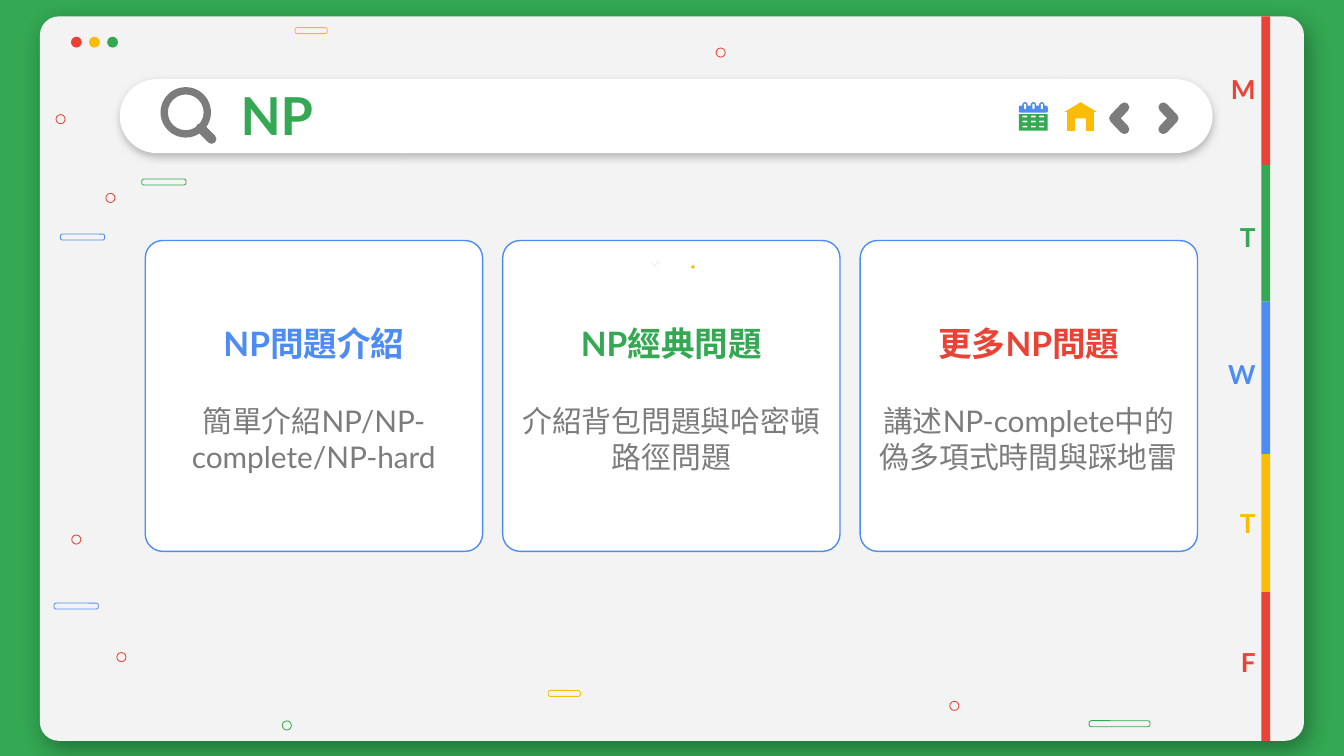
from lxml import etree
from pptx import Presentation
from pptx.dml.color import RGBColor
from pptx.enum.shapes import MSO_SHAPE
from pptx.enum.text import MSO_ANCHOR, MSO_AUTO_SIZE, PP_ALIGN
from pptx.oxml import parse_xml
from pptx.oxml.ns import nsdecls, qn
from pptx.util import Pt

RECTANGLE = MSO_SHAPE.RECTANGLE
ROUNDED = MSO_SHAPE.ROUNDED_RECTANGLE
OVAL = MSO_SHAPE.OVAL
DONUT = MSO_SHAPE.DONUT
LEFT, CENTER, RIGHT = PP_ALIGN.LEFT, PP_ALIGN.CENTER, PP_ALIGN.RIGHT
COLORS = {
    "green": "34A853", "red": "EA4335", "yellow": "FBBC05", "blue": "4D8CF5",
    "panel": "F3F3F3", "white": "FFFFFF", "gray": "7C7C7C", "black": "000000",
}

presentation = Presentation()
presentation.slide_width = Pt(720)
presentation.slide_height = Pt(405)
slide = presentation.slides.add_slide(presentation.slide_layouts[5])
slide.background.fill.solid()
slide.background.fill.fore_color.rgb = RGBColor.from_string(COLORS["green"])


def paint(shape, fill=None, line=None, width=0.75, adjust=None):
    shape.shadow.inherit = False
    if fill:
        shape.fill.solid()
        shape.fill.fore_color.rgb = RGBColor.from_string(COLORS[fill])
    else:
        shape.fill.background()
    if line:
        shape.line.color.rgb = RGBColor.from_string(COLORS[line])
        shape.line.width = Pt(width)
    else:
        shape.line.fill.background()
    if adjust is not None:
        shape.adjustments[0] = adjust
    return shape


def write(shape, box, text, size, color, bold=False, align=CENTER):
    shape.left, shape.top, shape.width, shape.height = (Pt(value) for value in box)
    frame = shape.text_frame
    frame.word_wrap = True
    frame.auto_size = MSO_AUTO_SIZE.NONE
    frame.vertical_anchor = MSO_ANCHOR.MIDDLE
    frame.margin_left = frame.margin_right = Pt(7.2)
    frame.margin_top = frame.margin_bottom = Pt(7.2)
    paragraph = frame.paragraphs[0]
    paragraph.alignment = align
    run = paragraph.add_run()
    run.text = text
    run.font.name = "Lato"
    run.font.size = Pt(size)
    run.font.bold = bold
    run.font.color.rgb = RGBColor.from_string(COLORS[color])


shapes = slide.shapes

surfaces = [
    ((21.4, 8.8, 677.2, 388.1), "panel", 0.026, ("black", 32, 12.4, 5.2, 57)),
    ((64.2, 42.4, 585.4, 39.6), "white", 0.5, ("gray", 50, 4.5, 1.5, 90)),
]
for box, fill, adjust, (color, alpha, blur, distance, angle) in surfaces:
    surface = paint(shapes.add_shape(ROUNDED, *map(Pt, box)), fill, adjust=adjust)
    effects = surface.element.spPr.find(qn("a:effectLst"))
    effects.append(parse_xml(
        f'<a:outerShdw {nsdecls("a")} blurRad="{Pt(blur)}" dist="{Pt(distance)}" '
        f'dir="{angle * 60000}" algn="bl" rotWithShape="0">'
        f'<a:srgbClr val="{COLORS[color]}"><a:alpha val="{alpha * 1000}"/></a:srgbClr>'
        '</a:outerShdw>'))

for index, color in enumerate(["red", "yellow", "green"]):
    paint(shapes.add_shape(OVAL, Pt(38 + 9.7 * index), Pt(19.7), Pt(5.8), Pt(5.8)), color)

pills = [
    (293.7, 369.9, 17.2, "yellow"), (583.5, 386.1, 32.6, "green"),
    (32.4, 125.4, 23.7, "blue"), (29, 323.1, 23.7, "blue"),
    (76, 95.9, 23.7, "green"), (158.1, 14.8, 17.2, "yellow"),
]
for left, top, width, color in pills:
    paint(shapes.add_shape(ROUNDED, Pt(left), Pt(top), Pt(width), Pt(3.2)),
          line=color, width=0.44, adjust=0.35)

circles = [
    (38.4, 286.6, "red"), (56.7, 103.6, "red"), (30, 61.4, "red"),
    (62.6, 349.6, "red"), (151.2, 386.2, "green"), (508.8, 375.7, "red"),
    (383.6, 25.7, "red"),
]
for left, top, color in circles:
    paint(shapes.add_shape(OVAL, Pt(left), Pt(top), Pt(4.9), Pt(4.9)), line=color, width=0.44)

title = shapes.title
title.element.getparent().append(title.element)
write(title, (121.7, 42.5, 462.2, 37.4), "NP", 28, "green", True, LEFT)

cards = [
    ("NP問題介紹", "簡單介紹NP/NP-complete/NP-hard", "blue"),
    ("NP經典問題", "介紹背包問題與哈密頓路徑問題", "green"),
    ("更多NP問題", "講述NP-complete中的偽多項式時間與踩地雷", "red"),
]
for index, (heading, description, color) in enumerate(cards):
    left = 77.8 + 191.5 * index
    paint(shapes.add_shape(ROUNDED, Pt(left), Pt(128.9), Pt(180.7), Pt(166.5)),
          "white", "blue", adjust=0.056)
    write(shapes.add_textbox(0, 0, 0, 0), (left, 172.8, 180.7, 22.3),
          heading, 18, color, True)
    write(shapes.add_textbox(0, 0, 0, 0), (left + 2.6, 200.9, 175.5, 68.4),
          description, 16, "gray")

days = [
    ("M", "red", 8.8, 36.7), ("T", "green", 88.3, 115.9), ("W", "blue", 161.6, 189.4),
    ("T", "yellow", 243.3, 269.3), ("F", "red", 317.2, 343.4),
]
bar_ends = [day[2] for day in days[1:]] + [396.9]
for (letter, color, top, letter_top), bottom in zip(days, bar_ends):
    paint(shapes.add_shape(RECTANGLE, Pt(675.7), Pt(top), Pt(4.8), Pt(bottom - top)), color)
    write(shapes.add_textbox(0, 0, 0, 0), (645.1, letter_top, 34.6, 22.3),
          letter, 14, color, True, RIGHT)

paint(shapes.add_shape(DONUT, Pt(86), Pt(46.7), Pt(27), Pt(27)), "gray", adjust=0.145)

paint(shapes.add_shape(RECTANGLE, Pt(545.8), Pt(61.2), Pt(15.5), Pt(8.9)), "green")
paint(shapes.add_shape(ROUNDED, Pt(545.8), Pt(56.6), Pt(15.5), Pt(3.7)), "blue", adjust=0.2)
for column in range(3):
    left = 547.7 + 4.5 * column
    paint(shapes.add_shape(ROUNDED, Pt(left), Pt(54.7), Pt(2.9), Pt(4.6)), "blue", adjust=0.5)
    paint(shapes.add_shape(ROUNDED, Pt(left + 0.9), Pt(55.6), Pt(1.1), Pt(2.9)),
          "white", adjust=0.5)
    for row in range(3):
        paint(shapes.add_shape(ROUNDED, Pt(left), Pt(62 + 2.7 * row), Pt(2.7), Pt(0.9)),
              "white", adjust=0.5)

polygons = [
    ("yellow", [(578.9, 54.8), (587.4, 59.9), (586.1, 59.9), (586.1, 70.1), (581.8, 70.1),
                (581.8, 63.4), (576, 63.4), (576, 70.1), (571.7, 70.1), (571.7, 59.9),
                (570.4, 59.9)]),
    ("panel", [(349.2, 140.4), (348.5, 140.4), (351.4, 143.3), (352.1, 142.6)]),
    ("panel", [(352.1, 139.7), (351.4, 140.4), (352.8, 141.8), (353.5, 141.1)]),
    ("yellow", [(371.5, 141.8), (370.1, 143.3), (371.5, 144), (372.2, 143.3)]),
]
for color, points in polygons:
    corners = [(Pt(x), Pt(y)) for x, y in points]
    builder = shapes.build_freeform(*corners[0])
    builder.add_line_segments(corners[1:], close=True)
    paint(builder.convert_to_shape(), color)

strokes = [
    [(107.5, 68.6), (113.4, 74.5)],
    [(602.4, 57.5), (599.6, 60.5), (596.8, 63.4), (602.4, 69.3)],
    [(623.2, 57.5), (628.8, 63.4), (623.2, 69.3)],
]
for points in strokes:
    corners = [(Pt(x), Pt(y)) for x, y in points]
    builder = shapes.build_freeform(*corners[0])
    builder.add_line_segments(corners[1:], close=False)
    stroke = paint(builder.convert_to_shape(), line="gray", width=5.2)
    outline = stroke.element.spPr.find(qn("a:ln"))
    outline.set("cap", "rnd")
    etree.SubElement(outline, qn("a:round"))

presentation.save("out.pptx")
